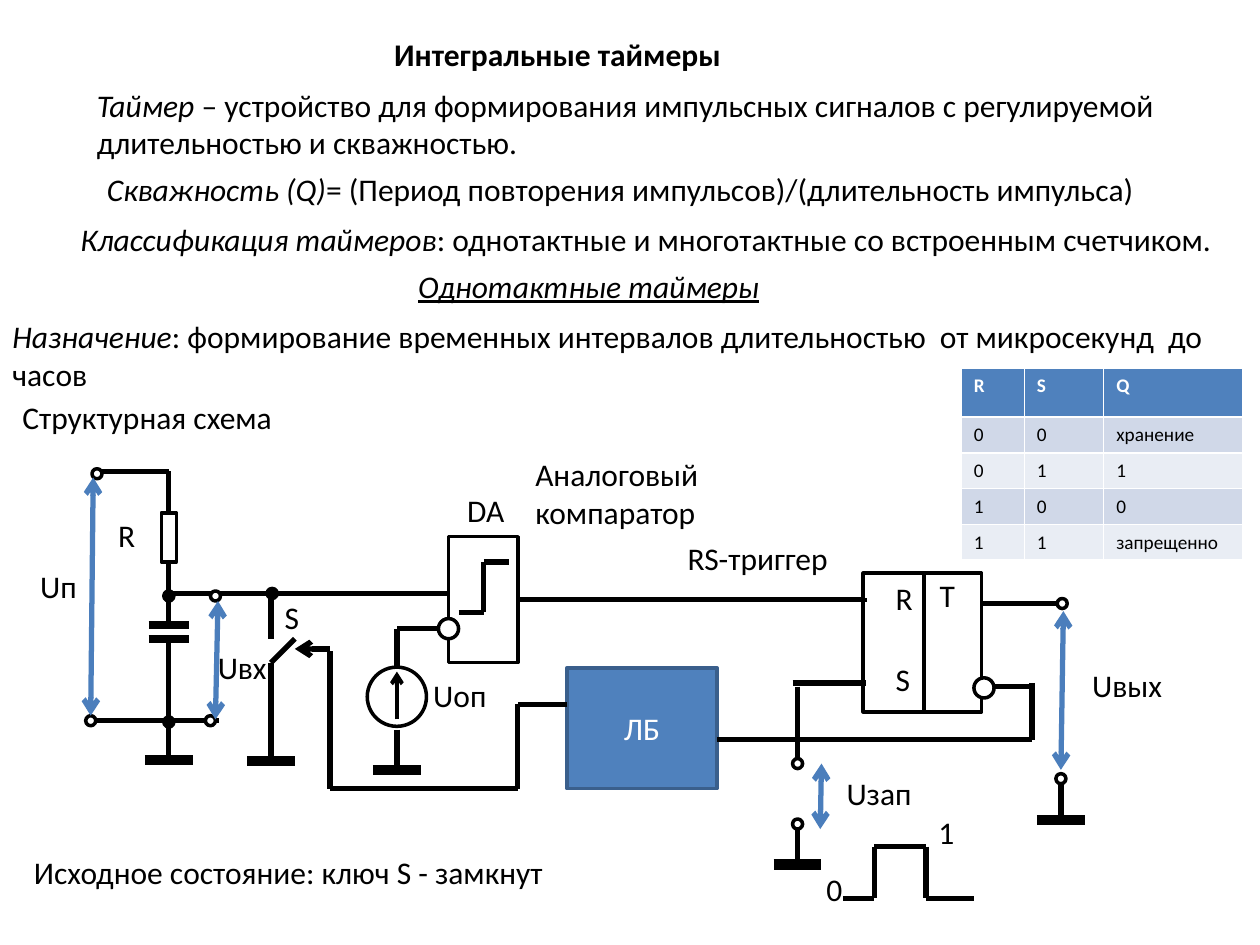
from dataclasses import dataclass
from itertools import pairwise

from lxml import etree
from pptx import Presentation
from pptx.dml.color import RGBColor as RGB
from pptx.enum.shapes import MSO_CONNECTOR as Connector
from pptx.enum.shapes import MSO_SHAPE as Shape
from pptx.enum.text import MSO_ANCHOR as Anchor
from pptx.enum.text import MSO_AUTO_SIZE as AutoSize
from pptx.enum.text import PP_ALIGN as Align
from pptx.oxml.ns import qn
from pptx.util import Inches, Pt

TOP, LEFT, BOTTOM, RIGHT = range(4)


@dataclass(frozen=True)
class Theme:
    font: str = "Calibri"
    black: str = "000000"
    white: str = "FFFFFF"
    blue: str = "4F81BD"
    blue_edge: str = "3A5F8C"
    arrow: str = "4B7EBC"
    bands: tuple = ("D0D8E8", "E9EDF4")
    body: float = 18
    cell: float = 11
    wire: float = 3
    outline: float = 2
    thin: float = 2.25
    plate: float = 4.5
    ground: float = 6


class CircuitSlide:
    """Draws text, circuit symbols and tables on one slide in a common style."""

    def __init__(self, slide, theme):
        self.slide = slide
        self.theme = theme

    def add_run(self, paragraph, text, style="", color=None, size=None):
        run = paragraph.add_run()
        run.text = text
        font = run.font
        font.name = self.theme.font
        font.size = Pt(size or self.theme.body)
        font.color.rgb = RGB.from_string(color or self.theme.black)
        font.bold = "b" in style
        font.italic = "i" in style
        font.underline = "u" in style

    def text(self, left, top, width, *lines, wrap=False):
        height = 0.71 if wrap or len(lines) > 1 else 0.4
        box = self.slide.shapes.add_textbox(
            Inches(left), Inches(top), Inches(width), Inches(height))
        frame = box.text_frame
        frame.word_wrap = wrap
        frame.auto_size = AutoSize.SHAPE_TO_FIT_TEXT
        for index, runs in enumerate(lines):
            paragraph = frame.add_paragraph() if index else frame.paragraphs[0]
            for text, style in [(runs, "")] if isinstance(runs, str) else runs:
                self.add_run(paragraph, text, style)

    def shape(self, kind, left, top, width, height, fill=None, edge=None):
        shape = self.slide.shapes.add_shape(
            kind, Inches(left), Inches(top), Inches(width), Inches(height))
        shape.shadow.inherit = False
        if fill:
            shape.fill.solid()
            shape.fill.fore_color.rgb = RGB.from_string(fill)
        else:
            shape.fill.background()
        shape.line.color.rgb = RGB.from_string(edge or self.theme.black)
        shape.line.width = Pt(self.theme.outline)
        return shape

    def block(self, left, top, width, height, label):
        shape = self.shape(Shape.RECTANGLE, left, top, width, height,
                           self.theme.blue, self.theme.blue_edge)
        shape.text_frame.vertical_anchor = Anchor.MIDDLE
        paragraph = shape.text_frame.paragraphs[0]
        paragraph.alignment = Align.CENTER
        self.add_run(paragraph, label, color=self.theme.white)

    def circle(self, center_x, center_y, diameter=0.08, fill=None):
        self.shape(Shape.OVAL, center_x - diameter / 2, center_y - diameter / 2,
                   diameter, diameter, fill)

    def line(self, start, end, width=None, color=None, arrows=()):
        connector = self.slide.shapes.add_connector(
            Connector.STRAIGHT, *(Inches(value) for value in (*start, *end)))
        connector.line.color.rgb = RGB.from_string(color or self.theme.black)
        connector.line.width = Pt(width or self.theme.wire)
        outline = connector.line._get_or_add_ln()
        for arrow_end in arrows:
            etree.SubElement(outline, qn(f"a:{arrow_end}"), type="arrow")
        etree.SubElement(connector._element.spPr, qn("a:effectLst"))
        return connector

    def wire(self, *points):
        for start, end in pairwise(points):
            self.line(start, end)

    def voltage(self, start, end):
        self.line(start, end, color=self.theme.arrow, arrows=("headEnd", "tailEnd"))

    def ground(self, x, top):
        bottom = top + 0.32
        self.line((x - 0.19, bottom), (x + 0.19, bottom), self.theme.ground)
        self.line((x, top), (x, bottom))

    def table(self, left, top, widths, heights, rows):
        frame = self.slide.shapes.add_table(
            len(rows), len(widths), Inches(left), Inches(top),
            Inches(sum(widths)), Inches(sum(heights)))
        table = frame.table
        for column, width in zip(table.columns, widths):
            column.width = Inches(width)
        for index, (row, height, values) in enumerate(zip(table.rows, heights, rows)):
            row.height = Inches(height)
            header = index == 0
            fill = self.theme.blue if header else self.theme.bands[(index - 1) % 2]
            color = self.theme.white if header else self.theme.black
            for cell, value in zip(row.cells, values):
                cell.fill.solid()
                cell.fill.fore_color.rgb = RGB.from_string(fill)
                self.add_run(cell.text_frame.paragraphs[0], value,
                             "b" if header else "", color, self.theme.cell)


def draw_input_circuit(page):
    resistor = page.shape(Shape.RECTANGLE, 1.28, 4.07, 0.12, 0.39)
    page.wire((0.73, 3.74), (1.34, 3.74))
    page.line((1.34, 3.74), (1.34, 4.07)).end_connect(resistor, TOP)
    page.line((1.34, 4.46), (1.34, 4.96)).begin_connect(resistor, BOTTOM)
    for plate_y in (4.96, 5.07):
        page.line((1.18, plate_y), (1.5, plate_y), page.theme.plate)
    page.wire((1.34, 5.08), (1.34, 5.71))
    page.wire((0.73, 5.72), (1.74, 5.72))
    page.wire((1.34, 4.71), (3.56, 4.71))
    page.wire((2.15, 4.72), (2.15, 5.07))
    page.wire((2.34, 5.07), (2.15, 5.26), (2.15, 5.72))


def draw_comparator(page):
    comparator = page.shape(Shape.RECTANGLE, 3.56, 4.26, 0.55, 1)
    page.wire((3.64, 4.86), (3.84, 4.86), (3.84, 4.46), (4.04, 4.46))
    page.line((4.11, 4.76), (6.85, 4.76)).begin_connect(comparator, RIGHT)
    page.wire((3.48, 4.99), (3.15, 4.99), (3.15, 5.3))
    page.circle(3.15, 5.53, 0.47)
    page.line((3.15, 5.71), (3.15, 5.33), page.theme.thin, arrows=("tailEnd",))


def draw_trigger_and_logic(page):
    page.block(4.5, 5.3, 1.19, 0.96, "ЛБ")
    page.wire((4.5, 5.59), (4.11, 5.59), (4.11, 6.26), (2.62, 6.26), (2.62, 5.17))
    page.line((2.62, 5.15), (2.34, 5.15), arrows=("tailEnd",))
    page.shape(Shape.RECTANGLE, 6.85, 4.55, 0.94, 1.1)
    page.line((7.33, 4.55), (7.33, 5.65), page.theme.thin)
    page.line((6.68, 4.76), (6.88, 4.76), page.theme.thin)
    page.wire((7.8, 4.79), (8.47, 4.79))
    page.wire((6.29, 5.42), (6.87, 5.42))
    page.wire((7.79, 5.45), (8.19, 5.45))
    page.wire((8.19, 5.42), (8.19, 5.87), (5.69, 5.87))
    page.wire((6.33, 5.45), (6.33, 6.04))
    page.wire((6.69, 7.13), (6.94, 7.13), (6.94, 6.72), (7.35, 6.72),
              (7.35, 7.13), (7.73, 7.13))


def draw_nodes_and_voltages(page):
    for x, top in ((1.34, 5.71), (2.15, 5.72), (3.15, 5.79), (6.33, 6.54), (8.42, 6.19)):
        page.ground(x, top)
    for x, y in ((1.34, 5.73), (1.34, 4.73), (2.16, 4.71)):
        page.circle(x, y, fill=page.theme.black)
    for x, y in ((0.72, 5.72), (0.77, 3.76), (1.67, 5.72), (1.71, 4.73),
                 (6.33, 6.06), (6.33, 6.54), (8.43, 4.79), (8.42, 6.18)):
        page.circle(x, y, fill=page.theme.white)
    for x, y in ((3.56, 4.99), (7.81, 5.46)):
        page.circle(x, y, 0.16, page.theme.white)
    for start, end in (((0.74, 3.79), (0.72, 5.68)), ((1.73, 4.77), (1.71, 5.71)),
                       ((8.44, 4.85), (8.42, 6.11)), ((6.52, 6.06), (6.51, 6.58))):
        page.voltage(start, end)


def write_texts(page):
    page.text(3.03, 0.23, 2.82, [("Интегральные таймеры", "b")])
    page.text(0.67, 0.63, 8.81,
              [("Таймер", "i"),
               (" – устройство для формирования импульсных сигналов с регулируемой", "")],
              "длительностью и скважностью.")
    page.text(0.75, 1.3, 8.37,
              [("Скважность (Q)", "i"),
               ("= (Период повторения импульсов)/(длительность импульса)", "")])
    page.text(0.54, 1.7, 9.28,
              [("Классификация таймеров", "i"),
               (": однотактные и многотактные со встроенным счетчиком.", "")])
    page.text(3.22, 2.07, 2.94, [("Однотактные таймеры", "iu")])
    page.text(0, 2.47, 9.76,
              [("Назначение", "i"),
               (": формирование временных интервалов длительностью  от микросекунд  до часов", "")],
              wrap=True)
    page.text(4.15, 3.56, 1.57, "Аналоговый", "компаратор")
    for left, top, width, label in (
            (0.08, 3.11, 2.2, "Структурная схема"), (0.84, 4.05, 0.34, "R"),
            (0.22, 4.45, 0.49, "Uп"), (7.01, 5.19, 0.32, "S"), (7.01, 4.55, 0.34, "R"),
            (7.36, 4.52, 0.32, "T"), (2.16, 4.7, 0.32, "S"), (3.61, 3.85, 0.5, "DA"),
            (8.57, 5.24, 0.76, "Uвых"), (6.62, 6.09, 0.72, "Uзап"),
            (3.34, 5.32, 0.63, "Uоп"), (1.63, 5.09, 0.59, "Uвх"),
            (5.36, 4.23, 1.33, "RS-триггер"), (6.46, 6.86, 0.33, "0"),
            (7.35, 6.4, 0.33, "1"), (0.17, 6.72, 4.29, "Исходное состояние: ключ S - замкнут")):
        page.text(left, top, width, label)


def main():
    presentation = Presentation()
    presentation.slide_width, presentation.slide_height = Inches(10), Inches(7.5)
    page = CircuitSlide(presentation.slides.add_slide(presentation.slide_layouts[6]), Theme())
    draw_input_circuit(page)
    draw_comparator(page)
    draw_trigger_and_logic(page)
    draw_nodes_and_voltages(page)
    write_texts(page)
    page.table(7.63, 2.92, (0.5, 0.63, 1.1), (0.39, *[0.28] * 4),
               (("R", "S", "Q"), ("0", "0", "хранение"), ("0", "1", "1"),
                ("1", "0", "0"), ("1", "1", "запрещенно")))
    presentation.save("out.pptx")


if __name__ == "__main__":
    main()
